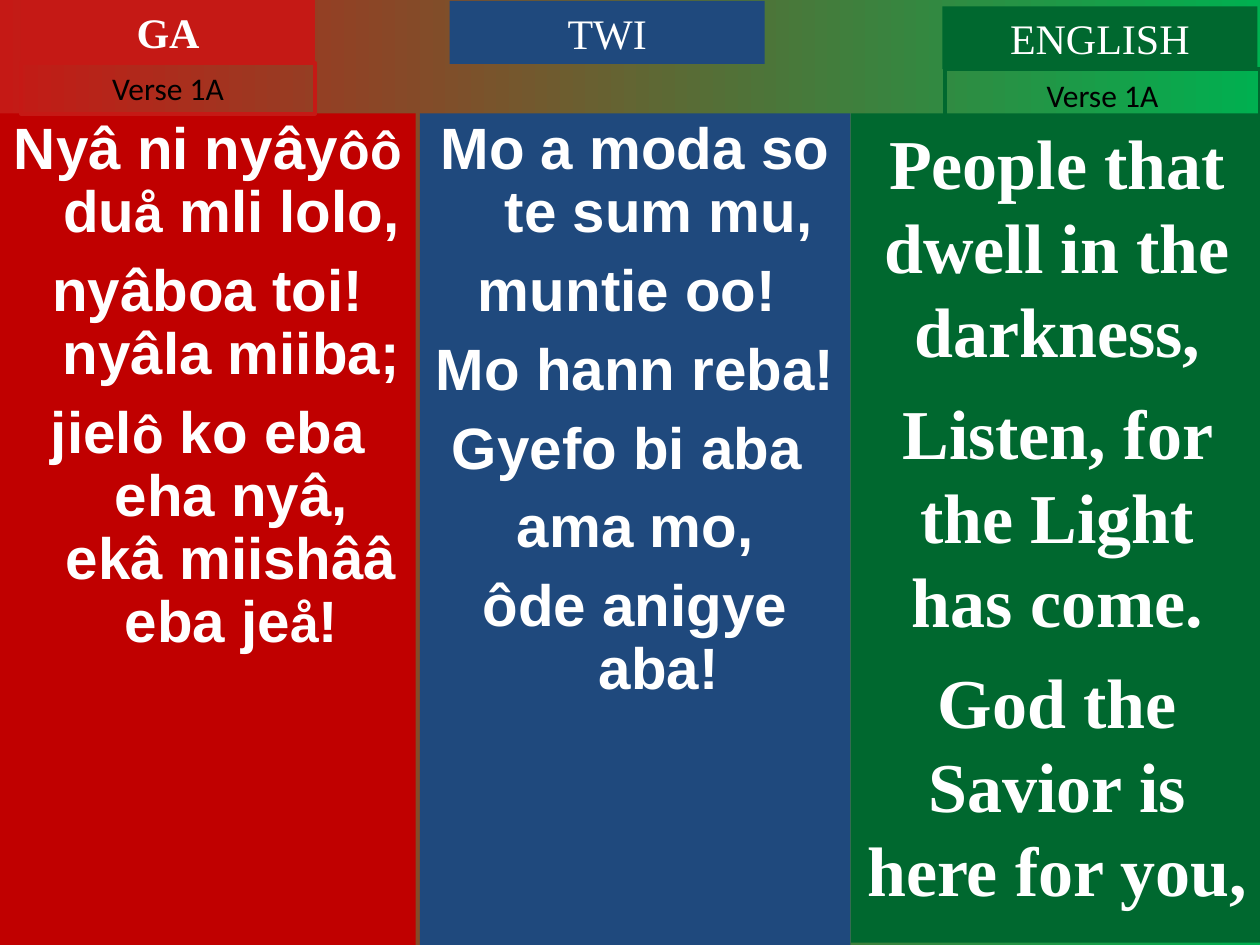
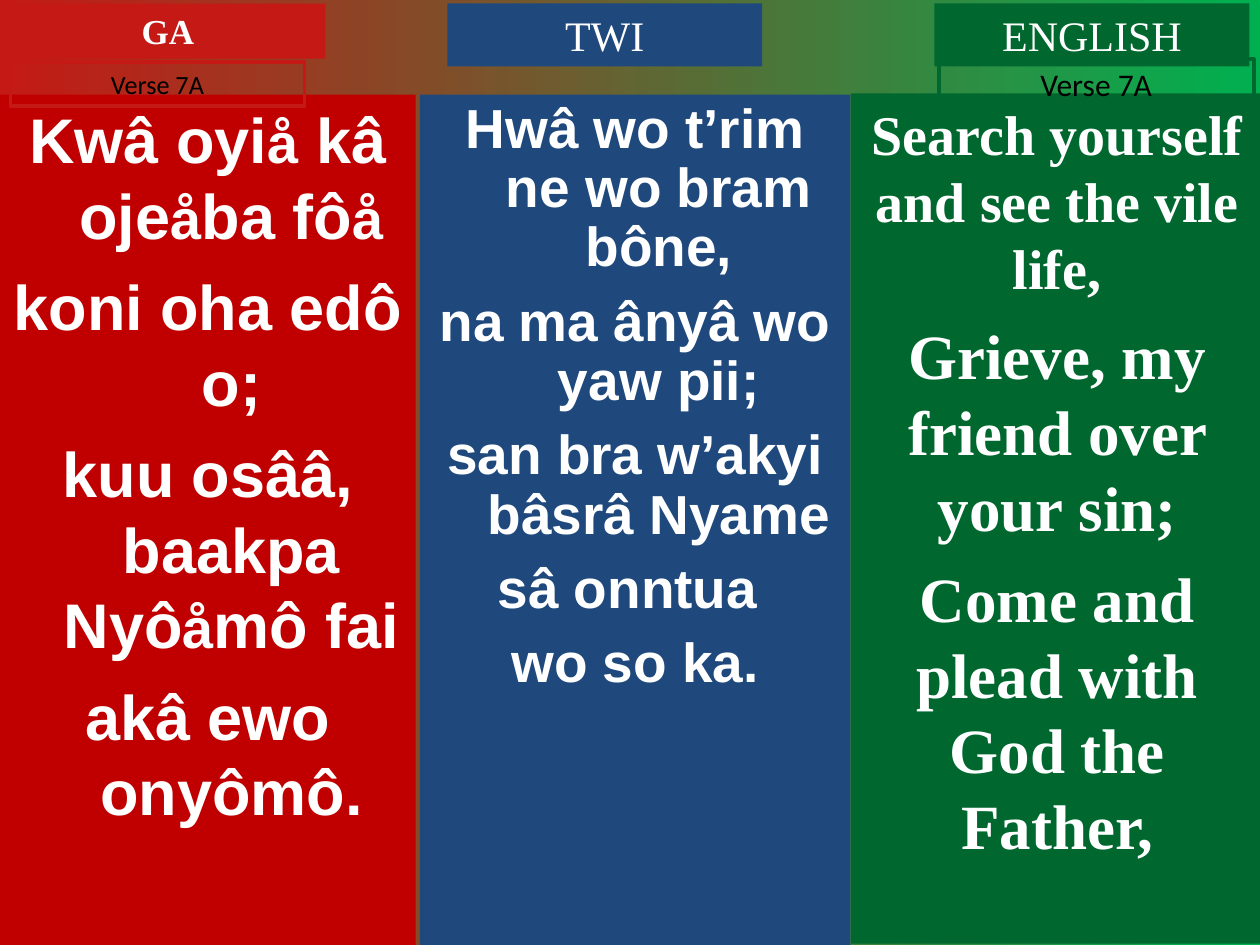
from collections import namedtuple

from pptx import Presentation
from pptx.dml.color import RGBColor
from pptx.enum.shapes import MSO_SHAPE
from pptx.enum.text import MSO_ANCHOR, MSO_AUTO_SIZE, PP_ALIGN
from pptx.util import Pt

RECTANGLE = MSO_SHAPE.RECTANGLE
TOP = MSO_ANCHOR.TOP
GROW = MSO_AUTO_SIZE.SHAPE_TO_FIT_TEXT
CENTER = PP_ALIGN.CENTER

BLANK_LAYOUT = 6
WHITE, BLACK = "FFFFFF", "000000"
SERIF, SANS, LABEL = "Times New Roman", "Arial", "Calibri"
HANGING = 27
BACKGROUND = ("C51915", "00B050")

Language = namedtuple("Language", "name left width panel tag font bold_tag hanging")
LANGUAGES = {
    "ga": Language("GA", 0, 237.6, "C00000", "C51915", SANS, True, HANGING),
    "twi": Language("TWI", 240, 246, "1F497D", "1F497D", SANS, False, HANGING),
    "english": Language("ENGLISH", 486.4, 235.5, "00682F", "00682F", SERIF, False, 0),
}

# Lyrics: lines of (text, size, space before); letters between bars are smaller.
# Boxes are (left, top, width, height, text size).
VERSES = [
    {
        "label": "Verse 1A",
        "ga": {
            "span": (64.8, 540), "spacing": 0.9, "small": 29.6,
            "lines": [("Nyâ ni nyây|ôô| du|å| mli lolo,", 33.3, 0),
                      ("nyâboa toi! nyâla miiba;", 33.3, 9),
                      ("jiel|ô| ko eba eha nyâ, ekâ miishââ eba je|å|!", 33.3, 9)],
            "tag": (12, 0, 168, 36, 24), "verse": (12, 36, 168, 29, 18),
        },
        "twi": {
            "span": (64.8, 540), "spacing": 0.9,
            "lines": [("Mo a moda so te sum mu,", 33.3, 0),
                      ("muntie oo! ", 33.3, 9),
                      ("Mo hann reba!", 33.3, 9),
                      ("Gyefo bi aba ", 33.3, 9),
                      ("ama mo,", 33.3, 9),
                      ("ôde anigye aba!", 33.3, 9)],
            "tag": (257, 0.6, 180, 36, 24),
        },
        "english": {
            "span": (64.8, 538.6),
            "lines": [("People that dwell in the darkness,", 40, 0),
                      ("Listen, for the Light has come.", 40, 10),
                      ("God the Savior is here for you,", 40, 10)],
            "tag": (538.5, 3.6, 180, 36, 24), "verse": (540, 39.6, 180, 29, 18),
        },
    },
    {
        "label": "Verse 7A",
        "ga": {
            "span": (54, 540), "small": 32,
            "lines": [("Kwâ oyi|å| kâ oje|å|ba fô|å|", 36, 0),
                      ("koni oha edô o;", 36, 9),
                      ("kuu osââ, baakpa Nyô|å|mô fai", 36, 9),
                      ("akâ ewo onyômô.", 36, 9)],
            "tag": (6, 2, 180, 31.5, 20), "verse": (6, 35.3, 168, 25.4, 15),
        },
        "twi": {
            "span": (54, 540), "spacing": 0.9,
            "lines": [("Hwâ wo t’rim ne wo bram bône,", 31.4, 0),
                      ("na ma ânyâ wo yaw pii;", 31.4, 8.5),
                      ("san bra w’akyi bâsrâ Nyame", 31.4, 8.5),
                      ("sâ onntua ", 31.4, 8.5),
                      ("wo so ka.", 31.4, 8.5)],
            "tag": (255.6, 2, 180, 36, 24),
        },
        "english": {
            "span": (53.3, 539.3),
            "lines": [("Search yourself and see the vile life,", 32, 0),
                      ("Grieve, my friend over your sin;", 36, 9),
                      ("Come and plead with God the Father,", 36, 9)],
            "tag": (534, 2, 180, 36, 24), "verse": (536.4, 33.8, 180, 29, 18),
        },
    },
]


def color(hex_value):
    return RGBColor.from_string(hex_value)


class HymnDeck:
    def __init__(self):
        self.deck = Presentation()
        self.deck.slide_width = Pt(720)
        self.deck.slide_height = Pt(540)
        self.slide = None

    def new_slide(self):
        self.slide = self.deck.slides.add_slide(self.deck.slide_layouts[BLANK_LAYOUT])
        fill = self.slide.background.fill
        fill.gradient()
        fill.gradient_angle = 0
        for stop, shade in zip(fill.gradient_stops, BACKGROUND):
            stop.color.rgb = color(shade)

    def rectangle(self, left, top, width, height, fill=None, line=None):
        box = self.slide.shapes.add_shape(
            RECTANGLE, Pt(left), Pt(top), Pt(width), Pt(height))
        box.shadow.inherit = False
        if fill:
            box.fill.solid()
            box.fill.fore_color.rgb = color(fill)
        else:
            box.fill.background()
        if line:
            box.line.color.rgb = color(line)
            box.line.width = Pt(2.25)
        else:
            box.line.fill.background()
        box.text_frame.word_wrap = True
        box.text_frame.vertical_anchor = TOP
        return box.text_frame

    def run(self, paragraph, text, size, font, ink, bold):
        run = paragraph.add_run()
        run.text = text
        run.font.size = Pt(size)
        run.font.name = font
        run.font.bold = bold
        run.font.color.rgb = color(ink)

    def label(self, text, place, font, ink, bold=False, fill=None, line=None):
        """Draw a one-line box above a lyrics panel."""
        *bounds, size = place
        frame = self.rectangle(*bounds, fill=fill, line=line)
        frame.auto_size = GROW
        paragraph = frame.paragraphs[0]
        paragraph.alignment = CENTER
        self.run(paragraph, text, size, font, ink, bold)

    def lyrics(self, language, part):
        top, bottom = part["span"]
        frame = self.rectangle(language.left, top, language.width, bottom - top,
                               fill=language.panel)
        for number, (text, size, before) in enumerate(part["lines"]):
            paragraph = frame.paragraphs[0] if number == 0 else frame.add_paragraph()
            paragraph.alignment = CENTER
            paragraph.line_spacing = part.get("spacing", 1.0)
            paragraph.space_before = Pt(before)
            if language.hanging:
                properties = paragraph._p.get_or_add_pPr()
                properties.set("marL", str(Pt(language.hanging)))
                properties.set("indent", str(-Pt(language.hanging)))
            for index, piece in enumerate(text.split("|")):
                if piece:
                    piece_size = part["small"] if index % 2 else size
                    self.run(paragraph, piece, piece_size, language.font, WHITE, True)

    def verse(self, verse):
        self.new_slide()
        for key, language in LANGUAGES.items():
            self.lyrics(language, verse[key])
        for key, language in LANGUAGES.items():
            part = verse[key]
            self.label(language.name, part["tag"], SERIF, WHITE,
                       bold=language.bold_tag, fill=language.tag)
            if "verse" in part:
                self.label(verse["label"], part["verse"], LABEL, BLACK,
                           line=language.tag)


def main():
    hymn = HymnDeck()
    for verse in VERSES:
        hymn.verse(verse)
    hymn.deck.save("out.pptx")


if __name__ == "__main__":
    main()
